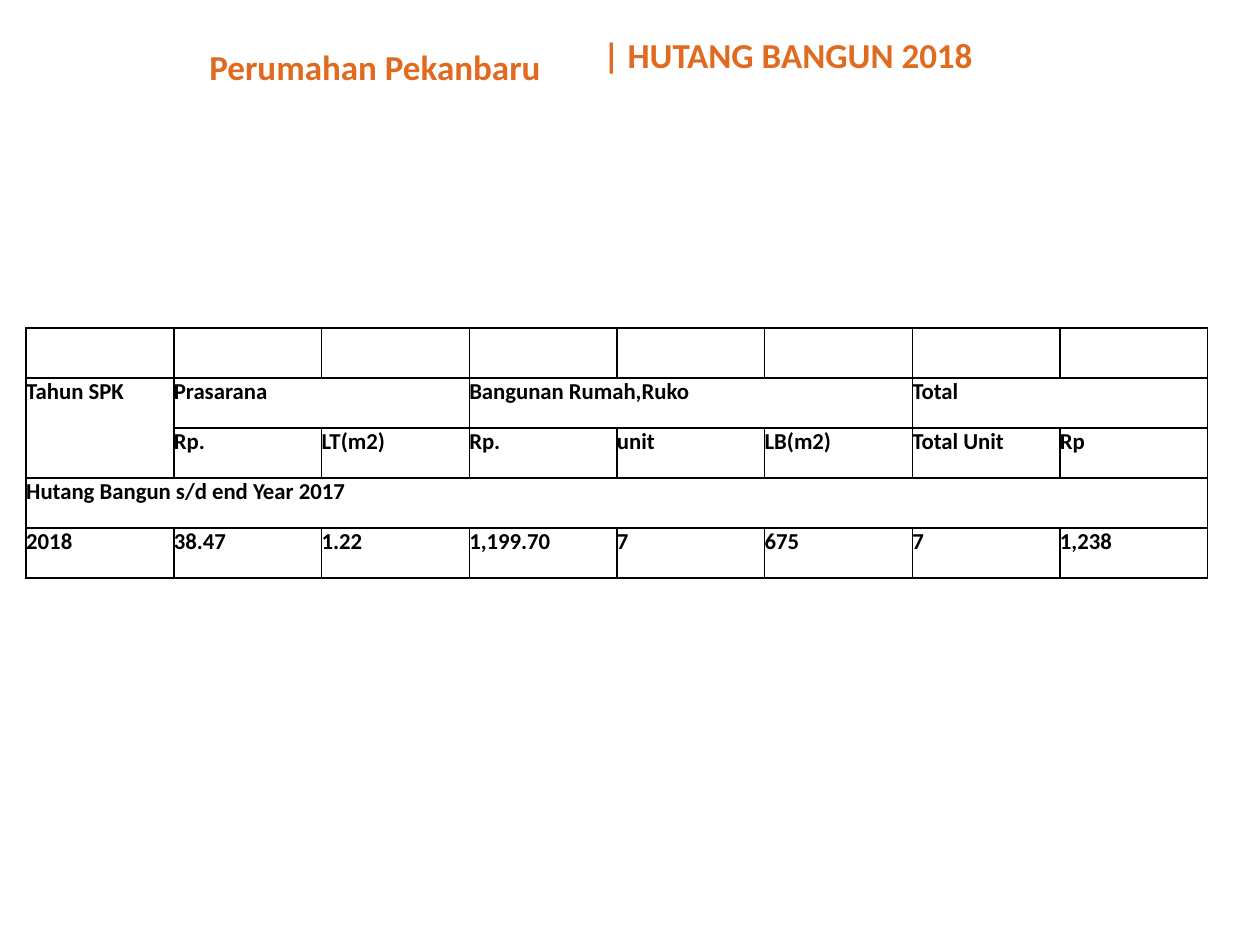
from lxml import etree
from pptx import Presentation
from pptx.dml.color import RGBColor
from pptx.oxml import ns
from pptx.util import Pt

ORANGE = RGBColor(0xE0, 0x6B, 0x20)
BLACK = RGBColor(0, 0, 0)
FONT = "Calibri"

HEADINGS = [
    ("Perumahan Pekanbaru", 112.5, 22.5, 150),
    ("| HUTANG BANGUN 2018", 337.5, 15.6, 32),
]
HEADING_WIDTH = 450

DEBT_ROWS = [
    [""] * 8,
    ["Tahun SPK", "Prasarana", "", "Bangunan Rumah,Ruko", "", "", "Total", ""],
    ["", "Rp.", "LT(m2)", "Rp.", "unit", "LB(m2)", "Total Unit", "Rp"],
    ["Hutang Bangun s/d end Year 2017"] + [""] * 7,
    ["2018", "38.47", "1.22", "1,199.70", "7", "675", "7", "1,238"],
]
MERGES = [
    ((1, 0), (2, 0)),
    ((1, 1), (1, 2)),
    ((1, 3), (1, 5)),
    ((1, 6), (1, 7)),
    ((3, 0), (3, 7)),
]
TABLE_LEFT, TABLE_TOP = 15, 187.5
COLUMN_WIDTH, ROW_HEIGHT = 84.4, 28.6


def write(frame, words, size, color, bold=True):
    run = frame.paragraphs[0].add_run()
    run.text = words
    run.font.name = FONT
    run.font.size = Pt(size)
    run.font.bold = bold
    run.font.color.rgb = color


def outline(cell, width=1):
    properties = cell._tc.get_or_add_tcPr()
    for position, side in enumerate(("lnL", "lnR", "lnT", "lnB")):
        edge = etree.Element(ns.qn(f"a:{side}"), w=str(Pt(width)))
        paint = etree.SubElement(edge, ns.qn("a:solidFill"))
        etree.SubElement(paint, ns.qn("a:srgbClr"), val=str(BLACK))
        properties.insert(position, edge)


def add_headings(slide):
    for words, left, top, height in HEADINGS:
        heading = slide.shapes.add_textbox(
            Pt(left), Pt(top), Pt(HEADING_WIDTH), Pt(height))
        heading.text_frame.word_wrap = True
        write(heading.text_frame, words, size=20, color=ORANGE)


def add_debt_table(slide):
    row_count, column_count = len(DEBT_ROWS), len(DEBT_ROWS[0])
    debts = slide.shapes.add_table(
        row_count, column_count, Pt(TABLE_LEFT), Pt(TABLE_TOP),
        Pt(COLUMN_WIDTH * column_count), Pt(ROW_HEIGHT * row_count)).table
    debts.first_row = False
    debts.horz_banding = False
    for column in debts.columns:
        column.width = Pt(COLUMN_WIDTH)
    for r, entries in enumerate(DEBT_ROWS):
        debts.rows[r].height = Pt(ROW_HEIGHT)
        for c, entry in enumerate(entries):
            cell = debts.cell(r, c)
            cell.margin_left = cell.margin_right = 0
            cell.margin_top = cell.margin_bottom = 0
            cell.fill.background()
            outline(cell)
            if entry:
                write(cell.text_frame, entry, size=13, color=BLACK)
    for first, last in MERGES:
        debts.cell(*first).merge(debts.cell(*last))


def main():
    deck = Presentation()
    deck.slide_width, deck.slide_height = Pt(720), Pt(540)
    slide = deck.slides.add_slide(deck.slide_layouts[6])
    add_headings(slide)
    add_debt_table(slide)
    deck.save("out.pptx")


if __name__ == "__main__":
    main()
